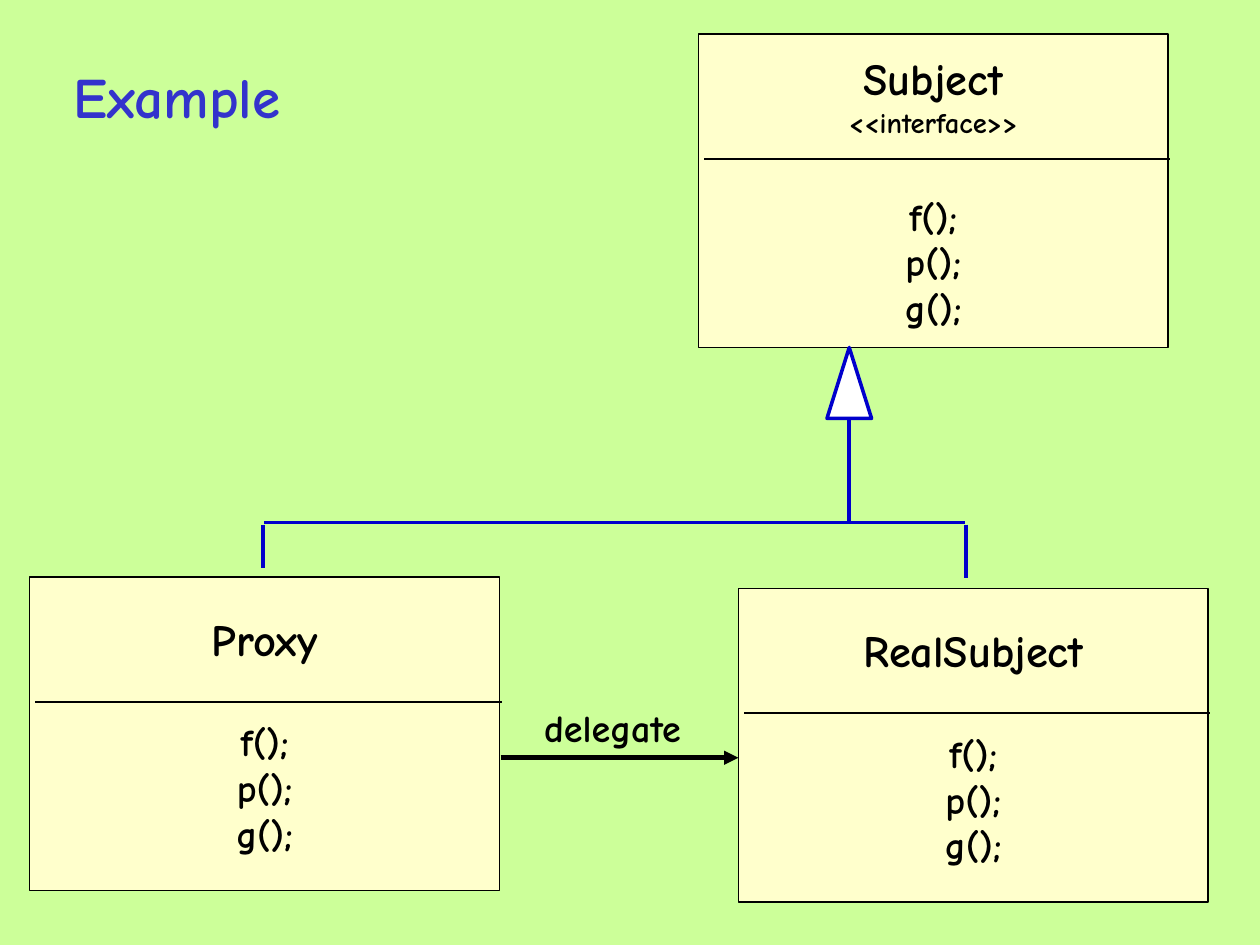
import pptx
import pptx.util
import pptx.dml.color
import pptx.enum.shapes
import pptx.enum.text
import pptx.oxml
from lxml import etree

Inches, Pt = pptx.util.Inches, pptx.util.Pt
SHAPES = pptx.enum.shapes.MSO_SHAPE
ALIGN = pptx.enum.text.PP_ALIGN
ANCHOR = pptx.enum.text.MSO_ANCHOR

FONT = "Comic Neue"
LIME, CREAM, WHITE, BLACK = "CCFF99", "FFFFCC", "FFFFFF", "000000"
TITLE_BLUE, INHERIT_BLUE = "3333CC", "0000CC"

# left, top, heading lines as (text, size)
CLASSES = [
    (6.11, 0.3, [("Subject", 28), ("<<interface>>", 18)]),
    (6.46, 5.15, [("RealSubject", 28)]),
    (0.26, 5.05, [("Proxy", 28)]),
]
METHODS = ["f();", "p();", "g();"]
CLASS_W, CLASS_H = 4.11, 2.74
DIVIDER_INSET, DIVIDER_DROP, DIVIDER_W = 0.05, 1.09, 4.08
METHODS_GAP = 34

ARROW_W, ARROW_H = 0.39, 0.62
ARROW_X, ARROW_TOP, BRANCH_Y = 7.43, 3.04, 4.57
INHERITANCE = [
    (2.31, BRANCH_Y, 8.44, BRANCH_Y),
    (8.45, 4.59, 8.45, 5.06),
    (2.3, 4.59, 2.3, 4.97),
    (ARROW_X, ARROW_TOP + ARROW_H, ARROW_X, BRANCH_Y),
]
DELEGATION = (4.38, 6.63, 6.46, 6.63)


def rgb(value):
    return pptx.dml.color.RGBColor.from_string(value)


def add_line(x1, y1, x2, y2, color, width):
    line = slide.shapes.add_connector(
        pptx.enum.shapes.MSO_CONNECTOR.STRAIGHT,
        Inches(x1), Inches(y1), Inches(x2), Inches(y2))
    line.line.color.rgb = rgb(color)
    line.line.width = Pt(width)
    etree.SubElement(line._element.spPr, pptx.oxml.ns.qn("a:effectLst"))
    return line


def add_outlined(kind, left, top, width, height, fill, color, weight):
    shape = slide.shapes.add_shape(
        kind, Inches(left), Inches(top), Inches(width), Inches(height))
    shape.shadow.inherit = False
    shape.fill.solid()
    shape.fill.fore_color.rgb = rgb(fill)
    shape.line.color.rgb = rgb(color)
    shape.line.width = Pt(weight)
    return shape


def set_frame(frame, anchor, wrap):
    frame.margin_left = frame.margin_right = Inches(0.11)
    frame.margin_top = frame.margin_bottom = Inches(0.05)
    frame.vertical_anchor = anchor
    frame.word_wrap = wrap


def write(paragraph, text, size, color=BLACK, align=ALIGN.CENTER):
    paragraph.alignment = align
    run = paragraph.add_run()
    run.text = text
    run.font.name = FONT
    run.font.size = Pt(size)
    run.font.bold = True
    run.font.color.rgb = rgb(color)


def add_label(left, top, width, height, anchor, wrap):
    """Add an empty text box and return its paragraph."""
    box = slide.shapes.add_textbox(
        Inches(left), Inches(top), Inches(width), Inches(height))
    set_frame(box.text_frame, anchor, wrap)
    return box.text_frame.paragraphs[0]


def add_class(left, top, heading):
    """Draw a class box with its heading, divider and methods."""
    box = add_outlined(SHAPES.RECTANGLE, left, top, CLASS_W, CLASS_H,
                       CREAM, BLACK, 1)
    frame = box.text_frame
    set_frame(frame, ANCHOR.MIDDLE, False)
    lines = heading + [(method, 24) for method in METHODS]
    for i, (text, size) in enumerate(lines):
        paragraph = frame.add_paragraph() if i else frame.paragraphs[0]
        if i == len(heading):
            paragraph.space_before = Pt(METHODS_GAP)
        write(paragraph, text, size)
    x, y = left + DIVIDER_INSET, top + DIVIDER_DROP
    add_line(x, y, x + DIVIDER_W, y, BLACK, 1)


prs = pptx.Presentation()
prs.slide_width, prs.slide_height = pptx.util.Cm(28), pptx.util.Cm(21)
slide = prs.slides.add_slide(prs.slide_layouts[6])
slide.background.fill.solid()
slide.background.fill.fore_color.rgb = rgb(LIME)

for left, top, heading in CLASSES:
    add_class(left, top, heading)

delegation = add_line(*DELEGATION, BLACK, 3)
etree.SubElement(delegation.get_or_add_ln(),
                 pptx.oxml.ns.qn("a:tailEnd"), type="triangle")
write(add_label(4.65, 6.11, 1.42, 0.51, ANCHOR.TOP, False),
      "delegate", 24, align=ALIGN.LEFT)

for ends in INHERITANCE:
    add_line(*ends, INHERIT_BLUE, 2.25)
add_outlined(SHAPES.ISOSCELES_TRIANGLE, ARROW_X - ARROW_W / 2, ARROW_TOP,
             ARROW_W, ARROW_H, WHITE, INHERIT_BLUE, 2.25)

title = add_label(0.3, 0.19, 2.5, 1, ANCHOR.BOTTOM, True)
title.line_spacing = 0.88
write(title, "Example", 36, TITLE_BLUE)

prs.save("out.pptx")
